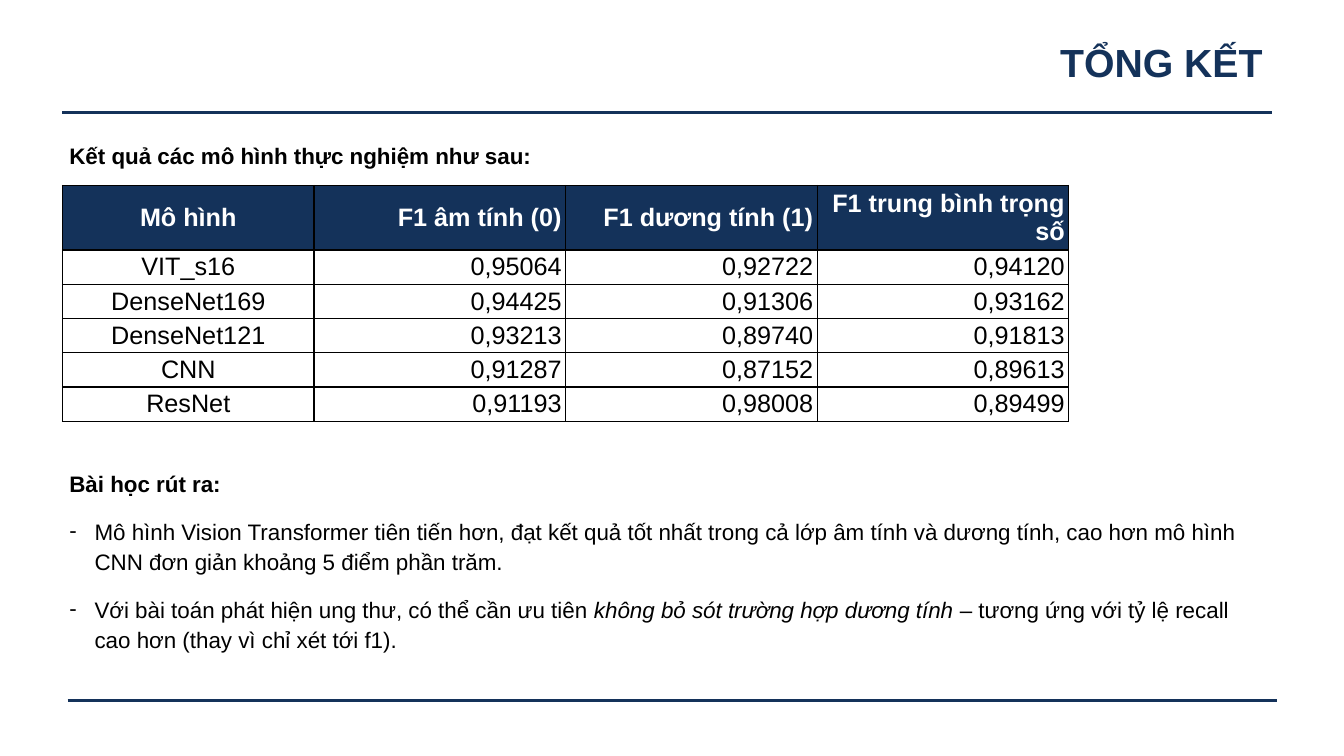
from lxml import etree
from pptx import Presentation
from pptx.dml.color import RGBColor
from pptx.enum.shapes import MSO_CONNECTOR
from pptx.enum.text import MSO_ANCHOR, PP_ALIGN
from pptx.oxml.ns import qn
from pptx.util import Inches, Pt

LEFT, CENTER, RIGHT = PP_ALIGN.LEFT, PP_ALIGN.CENTER, PP_ALIGN.RIGHT
MIDDLE, TOP = MSO_ANCHOR.MIDDLE, MSO_ANCHOR.TOP
STRAIGHT = MSO_CONNECTOR.STRAIGHT
NAVY = RGBColor(0x14, 0x32, 0x5A)
BLACK = RGBColor(0, 0, 0)
WHITE = RGBColor(255, 255, 255)
EDGE = 0.62
WIDE = 12


def write(frame, text, size=16, color=BLACK, bold=False, align=LEFT,
          line=1.14, gap=6, bullet=False):
    """Add a paragraph to the frame; text between asterisks is italic."""
    first = not frame.text
    para = frame.paragraphs[0] if first else frame.add_paragraph()
    para.alignment = align
    para.line_spacing = line
    para.space_before = Pt(0 if first else gap)
    para.space_after = Pt(gap)
    if bullet:
        props = para._p.get_or_add_pPr()
        props.set("marL", str(Inches(0.25)))
        props.set("indent", str(Inches(-0.25)))
        face = etree.SubElement(props, qn("a:buFont"))
        face.set("typeface", "Arial")
        etree.SubElement(props, qn("a:buChar")).set("char", "-")
    for n, part in enumerate(text.split("*")):
        run = para.add_run()
        run.text = part
        font = run.font
        font.name, font.size, font.bold = "Arial", Pt(size), bold
        font.italic = n % 2 == 1
        font.color.rgb = color


def add_box(left, top, width, height, anchor=TOP):
    box = slide.shapes.add_textbox(
        Inches(left), Inches(top), Inches(width), Inches(height))
    frame = box.text_frame
    frame.word_wrap = True
    frame.vertical_anchor = anchor
    return frame


deck = Presentation()
deck.slide_width, deck.slide_height = Inches(13.33), Inches(7.5)
slide = deck.slides.add_slide(deck.slide_layouts[6])

# Rules under the title and above the bottom edge
for left, top in ((0.67, 6.95), (EDGE, 1.12)):
    rule = slide.shapes.add_connector(
        STRAIGHT, Inches(left), Inches(top), Inches(left + WIDE), Inches(top))
    rule.line.color.rgb = NAVY
    rule.line.width = Pt(2.25)
    etree.SubElement(rule._element.spPr, qn("a:effectLst"))

# Title
title = add_box(EDGE, 0.24, WIDE, 0.69, MIDDLE)
write(title, "TỔNG KẾT", size=28, color=NAVY, bold=True, align=RIGHT, gap=0)

# Results
intro = add_box(0.59, 1.32, 12.03, 0.39)
write(intro, "Kết quả các mô hình thực nghiệm như sau:", bold=True)

rows = [
    ("Mô hình", "F1 âm tính (0)", "F1 dương tính (1)", "F1 trung bình trọng số"),
    ("VIT_s16", "0,95064", "0,92722", "0,94120"),
    ("DenseNet169", "0,94425", "0,91306", "0,93162"),
    ("DenseNet121", "0,93213", "0,89740", "0,91813"),
    ("CNN", "0,91287", "0,87152", "0,89613"),
    ("ResNet", "0,91193", "0,98008", "0,89499"),
]
HEAD, ROW, COL = 0.61, 0.32, 2.495
table = slide.shapes.add_table(
    len(rows), len(rows[0]), Inches(EDGE), Inches(1.84),
    Inches(COL * len(rows[0])), Inches(HEAD + ROW * (len(rows) - 1))).table
table.horz_banding = False
table.first_row = False

for r, row in enumerate(rows):
    head = r == 0
    table.rows[r].height = Inches(HEAD if head else ROW)
    for c, text in enumerate(row):
        cell = table.cell(r, c)
        cell.margin_left = cell.margin_right = Inches(0.04)
        cell.margin_top = cell.margin_bottom = Inches(0.02)
        cell.vertical_anchor = MIDDLE
        props = cell._tc.get_or_add_tcPr()
        for side in ("lnL", "lnR", "lnT", "lnB"):
            edge = etree.SubElement(props, qn("a:" + side), w=str(Pt(1)))
            fill = etree.SubElement(edge, qn("a:solidFill"))
            etree.SubElement(fill, qn("a:srgbClr"), val=str(BLACK))
        if head:
            cell.fill.solid()
            cell.fill.fore_color.rgb = NAVY
        else:
            cell.fill.background()
        write(cell.text_frame, text, size=18, color=WHITE if head else BLACK,
              bold=head, align=RIGHT if c else CENTER, line=1.0, gap=0)

# Lessons
notes = add_box(0.59, 4.58, 12.03, 2.1)
write(notes, "Bài học rút ra:", bold=True)
for text in (
    "Mô hình Vision Transformer tiên tiến hơn, đạt kết quả tốt nhất trong cả "
    "lớp âm tính và dương tính, cao hơn mô hình CNN đơn giản khoảng 5 điểm "
    "phần trăm.",
    "Với bài toán phát hiện ung thư, có thể cần ưu tiên *không bỏ sót trường "
    "hợp dương tính* – tương ứng với tỷ lệ recall cao hơn (thay vì chỉ xét "
    "tới f1).",
):
    write(notes, text, bullet=True)

deck.save("out.pptx")
